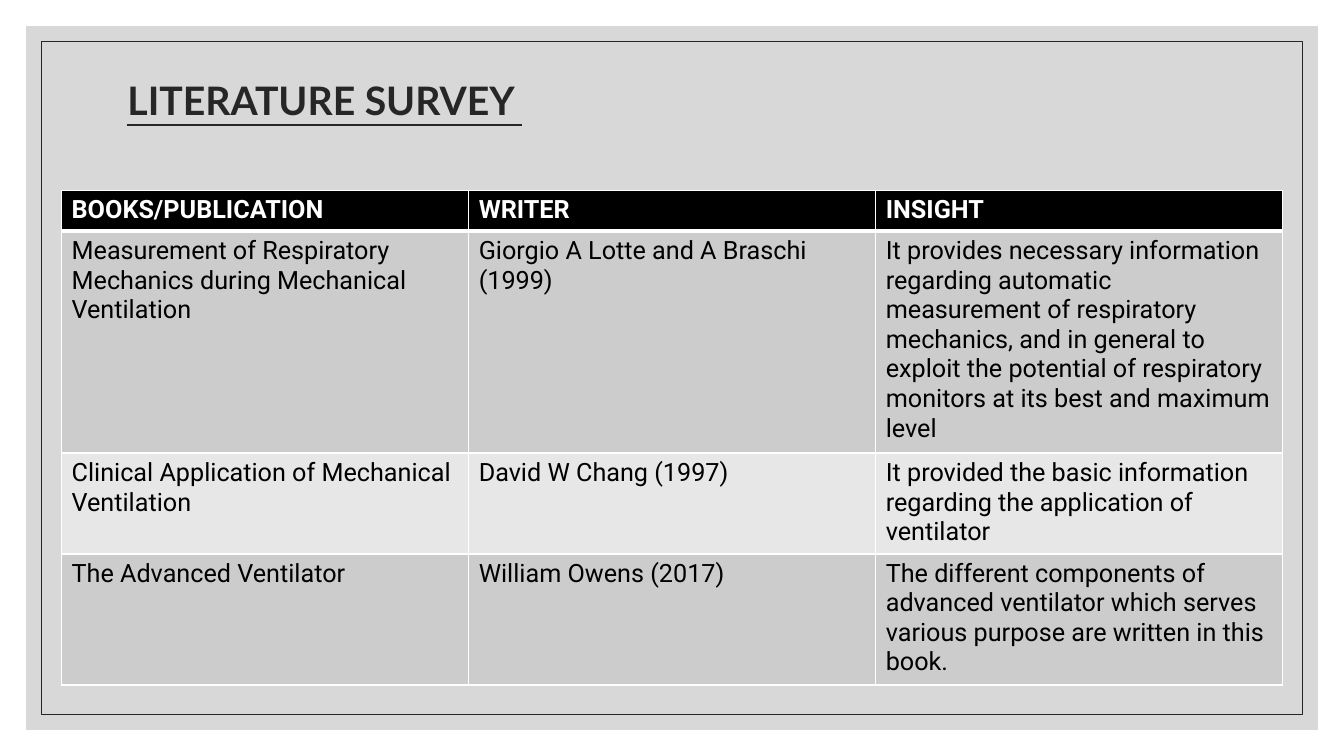
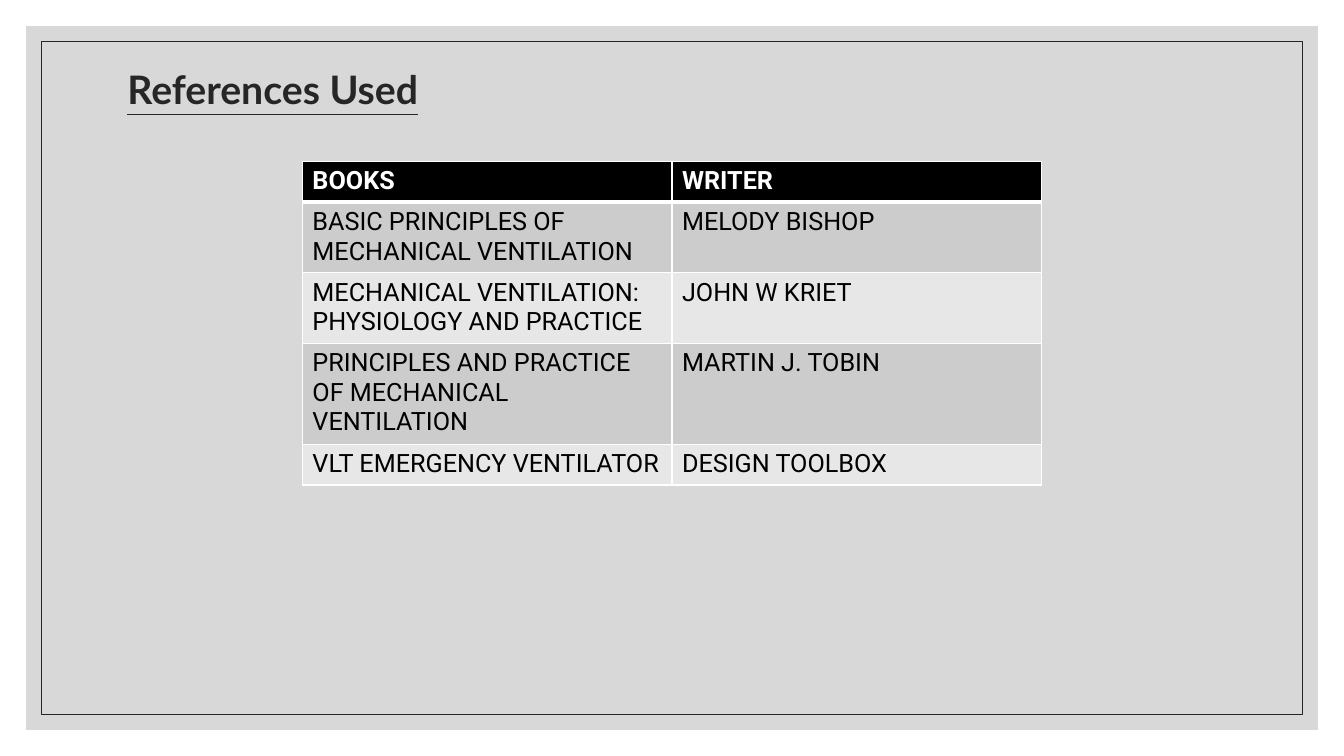
from lxml import etree
from pptx import Presentation
from pptx.dml.color import RGBColor
from pptx.enum import shapes, text
from pptx.oxml import ns
from pptx.util import Pt

COLORS = {
    "panel": "BFBFBF",
    "ink": "262626",
    "header": "000000",
    "body": "000000",
    "odd_row": "CCCCCC",
    "even_row": "E7E7E7",
    "white": "FFFFFF",
}
TITLE_FONT = "Lato"
TABLE_FONT = "Roboto"
SLIDE_WIDTH, SLIDE_HEIGHT = 960, 540
PANEL_INSET, FRAME_INSET = 18.7, 29.5
PANEL_OPACITY = 60


def rgb(name):
    return RGBColor.from_string(COLORS[name])


def add_span(para, words, font, size, color, bold=False, underline=False):
    span = para.add_run()
    span.text = words
    span.font.name = font
    span.font.size = Pt(size)
    span.font.color.rgb = rgb(color)
    span.font.bold = bold
    span.font.underline = underline


def add_inset_rectangle(page, inset):
    box = page.shapes.add_shape(
        shapes.MSO_SHAPE.RECTANGLE, Pt(inset), Pt(inset),
        Pt(SLIDE_WIDTH - 2 * inset), Pt(SLIDE_HEIGHT - 2 * inset))
    box.shadow.inherit = False
    return box


def add_backdrop(page):
    panel = add_inset_rectangle(page, PANEL_INSET)
    panel.fill.solid()
    panel.fill.fore_color.rgb = rgb("panel")
    panel.line.fill.background()
    color = panel.fill._xPr.find(".//" + ns.qn("a:srgbClr"))
    etree.SubElement(color, ns.qn("a:alpha"), val=str(PANEL_OPACITY * 1000))

    frame = add_inset_rectangle(page, FRAME_INSET)
    frame.fill.background()
    frame.line.color.rgb = rgb("ink")
    frame.line.width = Pt(0.5)


def add_title(page, words, height, anchor):
    box = page.shapes.add_textbox(Pt(84), Pt(50.4), Pt(792), Pt(height))
    frame = box.text_frame
    frame.word_wrap = True
    frame.vertical_anchor = anchor
    frame.margin_top = frame.margin_bottom = 0
    para = frame.paragraphs[0]
    para.line_spacing = 0.9
    add_span(para, words, TITLE_FONT, 28, "ink", bold=True, underline=True)


def set_borders(cell, top, bottom):
    properties = cell._tc.get_or_add_tcPr()
    widths = {"lnL": 1, "lnR": 1, "lnT": top, "lnB": bottom}
    for index, (edge, width) in enumerate(widths.items()):
        line = etree.Element(ns.qn("a:" + edge), w=str(Pt(width)))
        fill = etree.SubElement(line, ns.qn("a:solidFill"))
        etree.SubElement(fill, ns.qn("a:srgbClr"), val=COLORS["white"])
        properties.insert(index, line)


def fill_cell(cell, words, row):
    is_header = row == 0
    fill = "header" if is_header else "odd_row" if row % 2 else "even_row"
    cell.fill.solid()
    cell.fill.fore_color.rgb = rgb(fill)
    add_span(cell.text_frame.paragraphs[0], words, TABLE_FONT, 18,
             "white" if is_header else "body", bold=is_header)
    set_borders(cell, top=3 if row == 1 else 1, bottom=3 if is_header else 1)


def add_grid(page, left, top, column_width, row_heights, rows):
    columns = len(rows[0])
    table = page.shapes.add_table(
        len(rows), columns, Pt(left), Pt(top),
        Pt(column_width * columns), Pt(sum(row_heights))).table
    for column in table.columns:
        column.width = Pt(column_width)
    for row, (height, entries) in enumerate(zip(row_heights, rows)):
        table.rows[row].height = Pt(height)
        for column, words in enumerate(entries):
            fill_cell(table.cell(row, column), words, row)


def add_page(deck):
    page = deck.slides.add_slide(deck.slide_layouts[6])
    add_backdrop(page)
    return page


def add_literature_page(deck):
    page = add_page(deck)
    add_title(page, "LITERATURE SURVEY ", 45.4, text.MSO_ANCHOR.MIDDLE)
    add_grid(page, 44, 136, 290.8, [29.2, 155, 70.5, 91.5], [
        ("BOOKS/PUBLICATION", "WRITER", "INSIGHT"),
        ("Measurement of Respiratory Mechanics during Mechanical Ventilation",
         "Giorgio A Lotte and A Braschi (1999)",
         "It provides necessary information regarding automatic measurement "
         "of respiratory mechanics, and in general to exploit the potential "
         "of respiratory monitors at its best and maximum level"),
        ("Clinical Application of Mechanical Ventilation",
         "David W Chang (1997)",
         "It provided the basic information regarding the application of "
         "ventilator"),
        ("The Advanced Ventilator",
         "William Owens (2017)",
         "The different components of advanced ventilator which serves "
         "various purpose are written in this book."),
    ])


def add_references_page(deck):
    page = add_page(deck)
    add_title(page, "References Used", 64.8, text.MSO_ANCHOR.TOP)
    add_grid(page, 216, 115.2, 264, [29.2, 49.3, 49.3, 70.5, 29.2], [
        ("BOOKS", "WRITER"),
        ("BASIC PRINCIPLES OF MECHANICAL VENTILATION", "MELODY BISHOP"),
        ("MECHANICAL VENTILATION: PHYSIOLOGY AND PRACTICE", "JOHN W KRIET"),
        ("PRINCIPLES AND PRACTICE OF MECHANICAL VENTILATION",
         "MARTIN J. TOBIN"),
        ("VLT EMERGENCY VENTILATOR", "DESIGN TOOLBOX"),
    ])


def main():
    deck = Presentation()
    deck.slide_width = Pt(SLIDE_WIDTH)
    deck.slide_height = Pt(SLIDE_HEIGHT)
    add_literature_page(deck)
    add_references_page(deck)
    deck.save("out.pptx")


if __name__ == "__main__":
    main()
